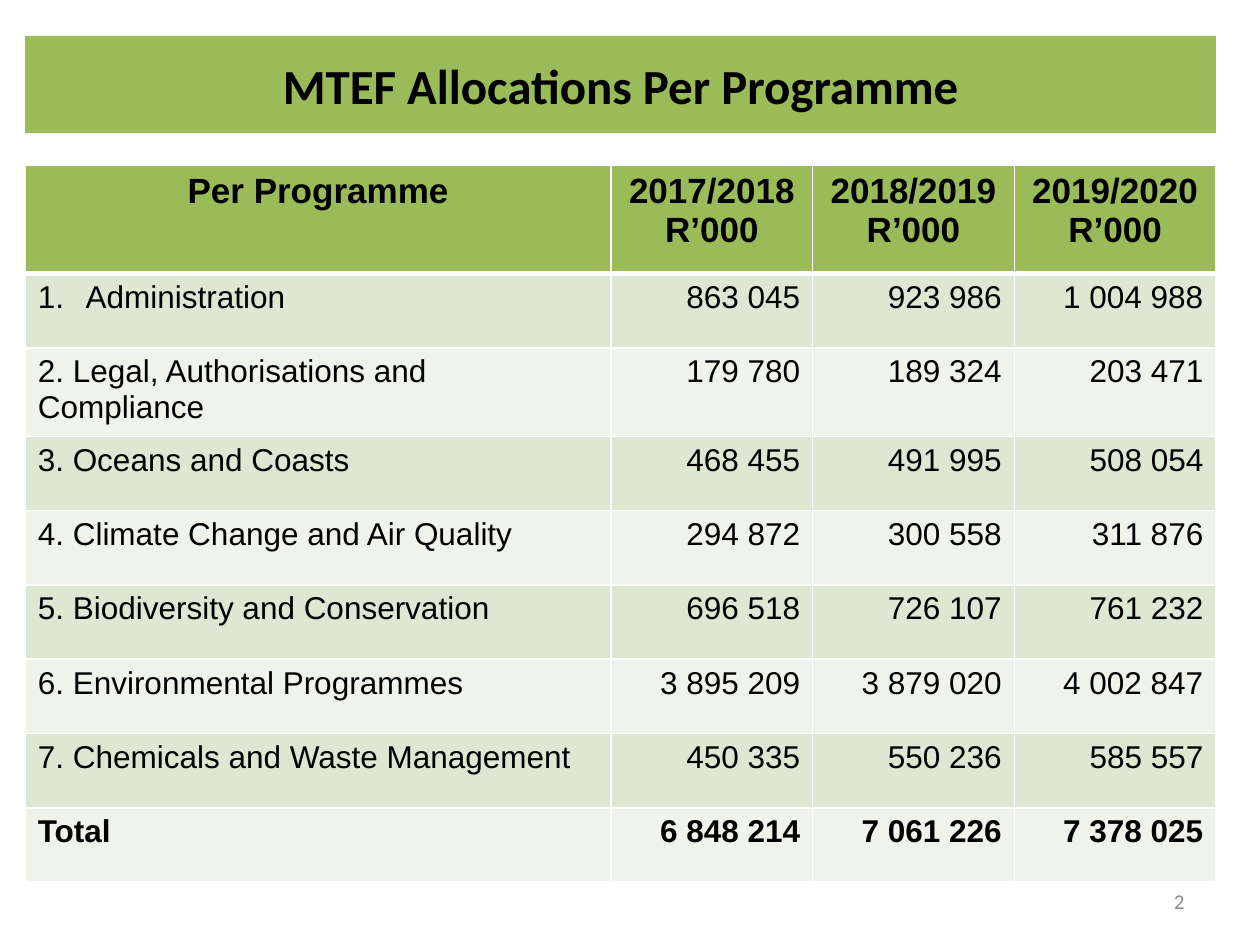
"""Build the slide of medium-term allocations per programme."""
from dataclasses import dataclass

from lxml import etree
from pptx import Presentation, util as u
from pptx.dml.color import RGBColor
from pptx.enum import shapes, text
from pptx.oxml import ns

COLORS = {"green": "9BBB59", "band": "DEE7D1", "pale": "EFF3EA",
          "black": "000000", "white": "FFFFFF", "gray": "8C8C8C"}
WIDTH, HEIGHT = u.Inches(10), u.Inches(7.5)
LEFT, CONTENT_WIDTH = 0.02, 0.945
YEAR_WIDTH = 0.16
HEADER_HEIGHT, ROW_HEIGHT = u.Inches(0.86), u.Inches(0.59)
ALIGN = text.PP_ALIGN


@dataclass(frozen=True)
class Style:
    size: int
    font: str = "Arial"
    color: str = "black"
    bold: bool = False
    align: text.PP_ALIGN = ALIGN.LEFT


@dataclass(frozen=True)
class Programme:
    name: str
    amounts: tuple[str, str, str]
    numbered: bool = False
    bold: bool = False


YEARS = ("2017/2018", "2018/2019", "2019/2020")
PROGRAMMES = (
    Programme("Administration", ("863 045", "923 986", "1 004 988"), numbered=True),
    Programme("2. Legal, Authorisations and Compliance", ("179 780", "189 324", "203 471")),
    Programme("3. Oceans and Coasts", ("468 455", "491 995", "508 054")),
    Programme("4. Climate Change and Air Quality", ("294 872", "300 558", "311 876")),
    Programme("5. Biodiversity and Conservation", ("696 518", "726 107", "761 232")),
    Programme("6. Environmental Programmes", ("3 895 209", "3 879 020", "4 002 847")),
    Programme("7. Chemicals and Waste Management", ("450 335", "550 236", "585 557")),
    Programme("Total", ("6 848 214", "7 061 226", "7 378 025"), bold=True),
)


def rgb(name: str) -> RGBColor:
    """Look up a colour by name."""
    return RGBColor.from_string(COLORS[name])


def box(left: float, top: float, width: float, height: float) -> tuple[int, ...]:
    """Turn shares of the slide into lengths."""
    return (int(left * WIDTH), int(top * HEIGHT), int(width * WIDTH), int(height * HEIGHT))


def write(text_frame, content: str, style: Style) -> None:
    """Fill a text frame and format its runs."""
    text_frame.text = content
    text_frame.word_wrap = True
    for paragraph in text_frame.paragraphs:
        paragraph.alignment = style.align
        for run in paragraph.runs:
            run.font.name = style.font
            run.font.size = u.Pt(style.size)
            run.font.bold = style.bold
            run.font.color.rgb = rgb(style.color)


def number_paragraph(paragraph) -> None:
    """Give a paragraph an automatic number with a hanging indent."""
    properties = paragraph._p.get_or_add_pPr()
    indent = u.Inches(0.38)
    properties.set("marL", str(indent))
    properties.set("indent", str(-indent))
    etree.SubElement(properties, ns.qn("a:buFont"), typeface="+mj-lt")
    etree.SubElement(properties, ns.qn("a:buAutoNum"), type="arabicPeriod")


def draw_borders(cell, top: int, bottom: int) -> None:
    """Draw white lines on all sides of a cell."""
    properties = cell._tc.get_or_add_tcPr()
    for side, points in (("L", 1), ("R", 1), ("T", top), ("B", bottom)):
        line = etree.SubElement(properties, ns.qn(f"a:ln{side}"), w=str(u.Pt(points)))
        fill = etree.SubElement(line, ns.qn("a:solidFill"))
        etree.SubElement(fill, ns.qn("a:srgbClr"), val=COLORS["white"])


def draw_cell(cell, content: str, style: Style, fill: str, top: int = 1, bottom: int = 1) -> None:
    """Write, outline and fill one table cell."""
    write(cell.text_frame, content, style)
    draw_borders(cell, top, bottom)
    cell.fill.solid()
    cell.fill.fore_color.rgb = rgb(fill)


def draw_title(slide) -> None:
    """Draw the title band."""
    shape = slide.shapes.add_shape(shapes.MSO_SHAPE.RECTANGLE,
                                   *box(LEFT, 0.038, CONTENT_WIDTH, 0.103))
    shape.shadow.inherit = False
    shape.fill.solid()
    shape.fill.fore_color.rgb = rgb("green")
    shape.line.fill.background()
    shape.text_frame.vertical_anchor = text.MSO_ANCHOR.MIDDLE
    write(shape.text_frame, "MTEF Allocations Per Programme",
          Style(28, "Calibri", bold=True, align=ALIGN.CENTER))


def draw_table(slide) -> None:
    """Draw the allocations table."""
    frame = slide.shapes.add_table(len(PROGRAMMES) + 1, len(YEARS) + 1,
                                   *box(LEFT, 0.175, CONTENT_WIDTH, 0.744))
    table = frame.table
    year_width = int(YEAR_WIDTH * WIDTH)
    for column in table.columns:
        column.width = year_width
    table.columns[0].width = int(CONTENT_WIDTH * WIDTH) - len(YEARS) * year_width
    for row in table.rows:
        row.height = ROW_HEIGHT
    table.rows[0].height = HEADER_HEIGHT

    header = Style(20, bold=True, align=ALIGN.CENTER)
    labels = ("Per Programme", *(f"{year}\nR’000" for year in YEARS))
    for column, label in enumerate(labels):
        draw_cell(table.cell(0, column), label, header, "green", bottom=3)
    for row, programme in enumerate(PROGRAMMES, start=1):
        fill = "band" if row % 2 else "pale"
        for column, content in enumerate((programme.name, *programme.amounts)):
            style = Style(18, bold=programme.bold, align=ALIGN.RIGHT if column else ALIGN.LEFT)
            draw_cell(table.cell(row, column), content, style, fill, top=3 if row == 1 else 1)
        if programme.numbered:
            number_paragraph(table.cell(row, 0).text_frame.paragraphs[0])


def draw_page_number(slide) -> None:
    """Write the page number at the lower right."""
    shape = slide.shapes.add_textbox(*box(0.717, 0.927, 0.233, 0.053))
    shape.text_frame.vertical_anchor = text.MSO_ANCHOR.MIDDLE
    write(shape.text_frame, "2", Style(12, "Calibri", "gray", align=ALIGN.RIGHT))


def main() -> None:
    """Build and save the presentation."""
    presentation = Presentation()
    presentation.slide_width, presentation.slide_height = WIDTH, HEIGHT
    slide = presentation.slides.add_slide(presentation.slide_layouts[6])
    draw_title(slide)
    draw_page_number(slide)
    draw_table(slide)
    presentation.save("out.pptx")


if __name__ == "__main__":
    main()
